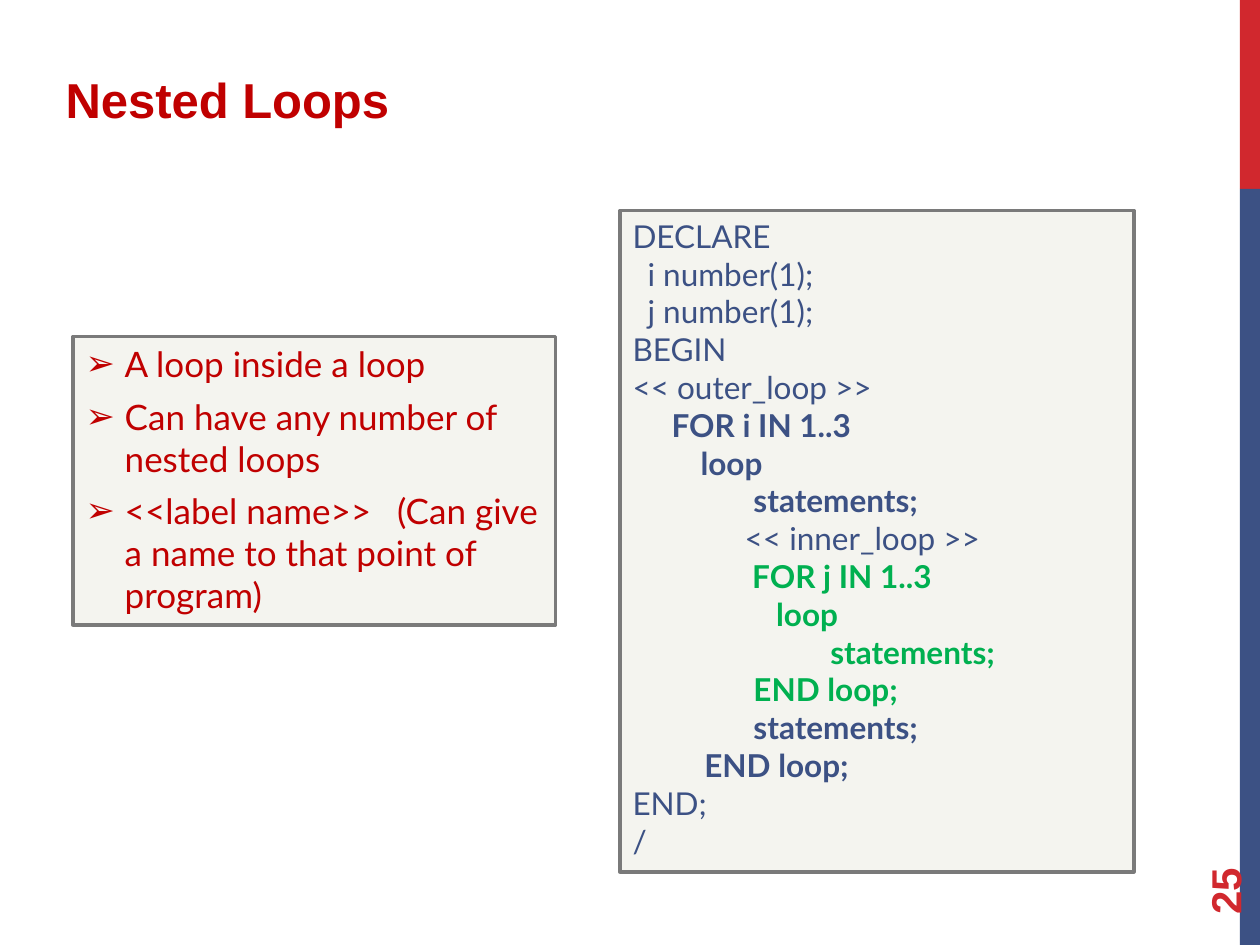
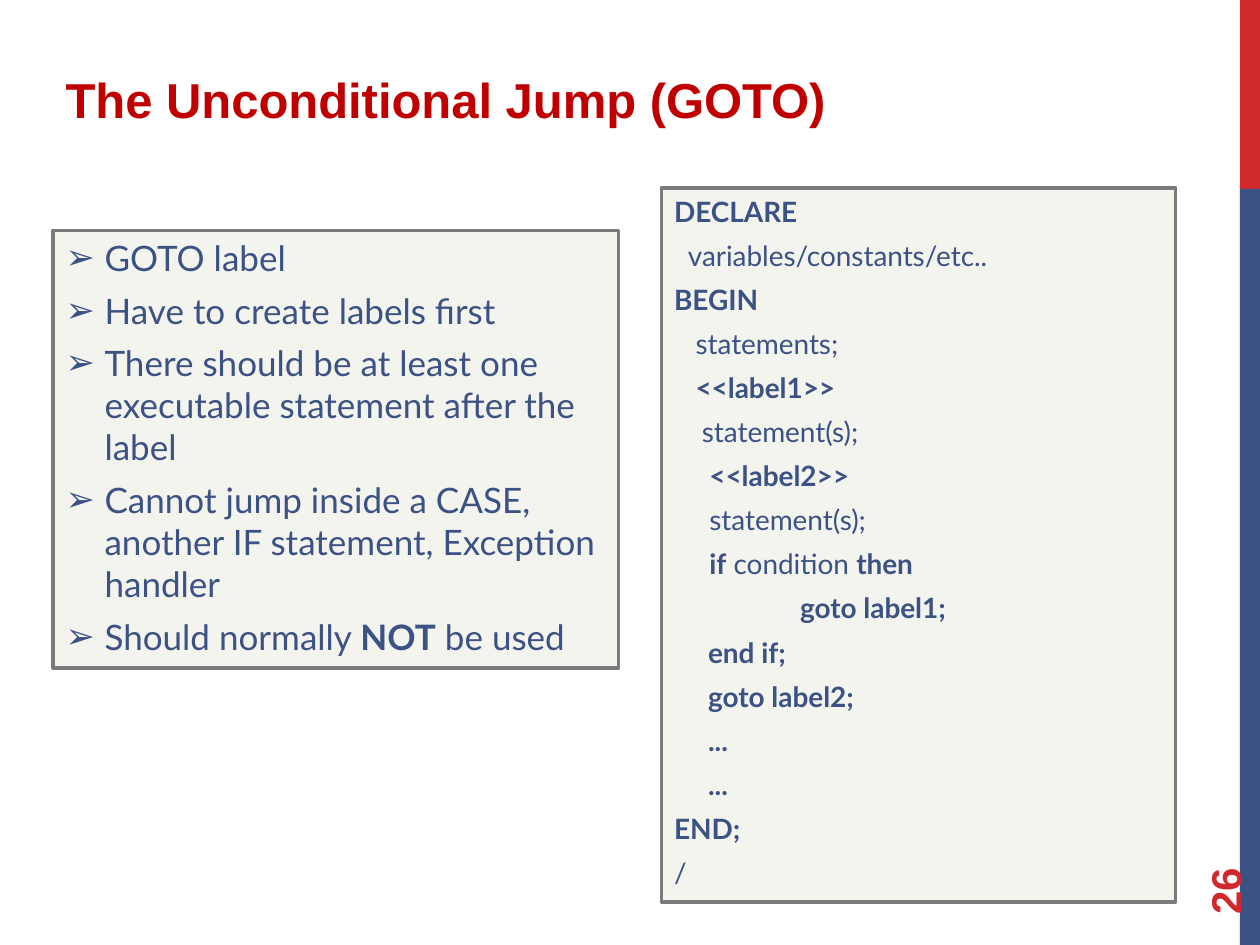
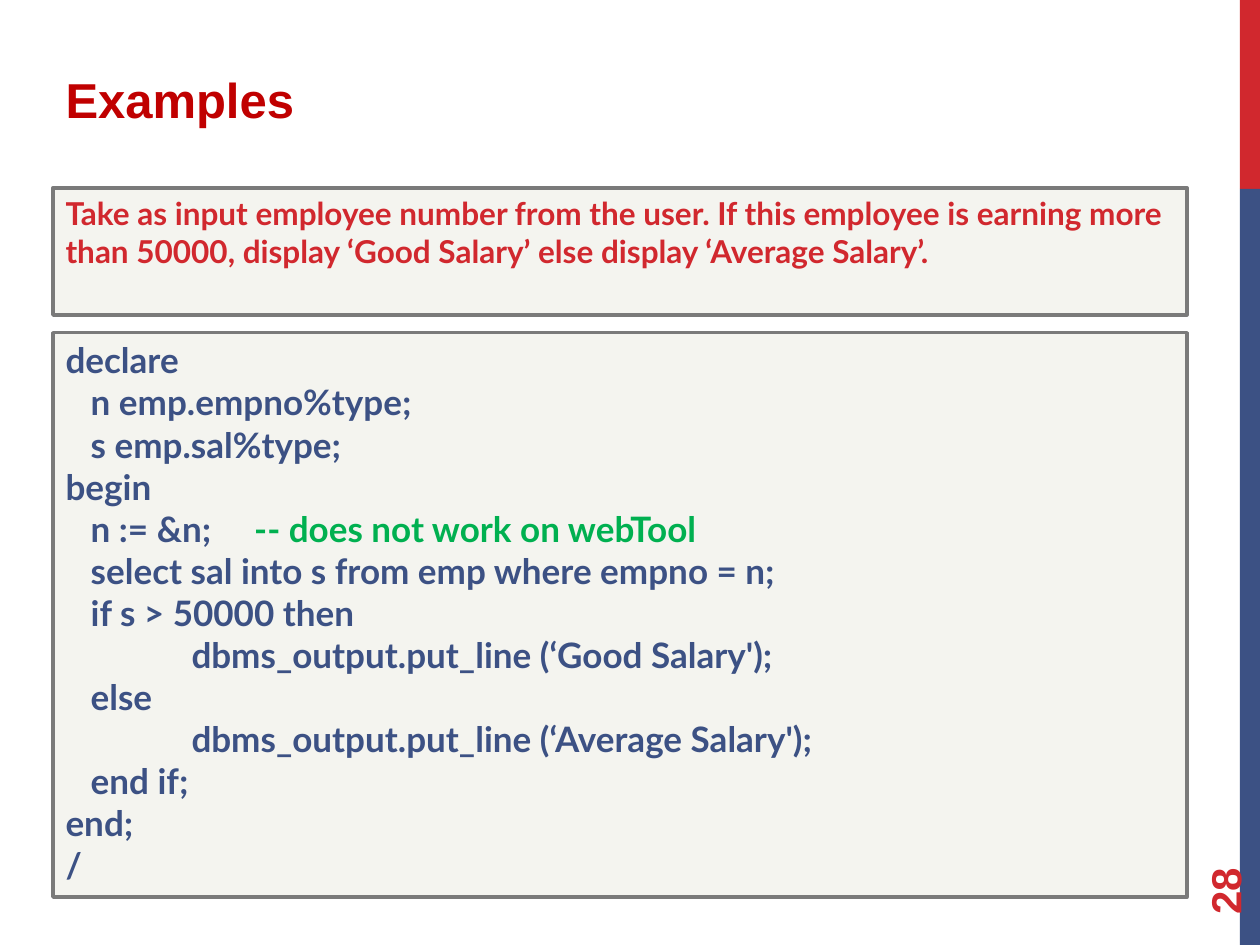
from dataclasses import dataclass

from lxml import etree
from pptx import Presentation
from pptx.dml.color import RGBColor
from pptx.enum.shapes import MSO_SHAPE
from pptx.enum.text import MSO_ANCHOR, MSO_AUTO_SIZE, PP_ALIGN
from pptx.oxml.ns import qn
from pptx.util import Inches, Pt

RECT = MSO_SHAPE.RECTANGLE
TOP, MIDDLE = MSO_ANCHOR.TOP, MSO_ANCHOR.MIDDLE
NO_FIT = MSO_AUTO_SIZE.NONE
LEFT = PP_ALIGN.LEFT

COLORS = {
    "red": "D1282E",
    "title": "C00000",
    "navy": "3C5184",
    "green": "00B050",
    "panel": "F4F4EF",
    "border": "7A7A7A",
}
HEAD_FONT, BODY_FONT = "Arial", "Lato"
HANG = 0.31  # hanging indent of bulleted lines
TWO_CONTENT = 3


@dataclass
class Run:
    text: str
    bold: bool = False
    color: str = ""
    gap: float = 0  # extra width in points after each character


@dataclass
class Line:
    runs: list[Run]
    indent: float = 0


@dataclass
class Panel:
    box: tuple[float, float, float, float]
    lines: list[Line]
    size: int
    color: str = "navy"
    space_before: int = 0
    bullet: str = ""


@dataclass
class Page:
    number: int
    title: str
    panels: list[Panel]


def plain(text: str, indent: float = 0) -> Line:
    return Line([Run(text)], indent)


def bold(text: str, indent: float = 0, color: str = "") -> Line:
    return Line([Run(text, True, color)], indent)


def rgb(name: str) -> RGBColor:
    return RGBColor.from_string(COLORS[name])


def place(sp, box: tuple[float, float, float, float]) -> None:
    sp.left, sp.top, sp.width, sp.height = (Inches(v) for v in box)


def style(r, font: str, size: int, color: str, is_bold: bool) -> None:
    r.font.name, r.font.size, r.font.bold = font, Pt(size), is_bold
    r.font.color.rgb = rgb(color)


def set_indent(p, indent: float, bullet: str) -> None:
    pPr = p._p.get_or_add_pPr()
    pPr.set("marL", str(Inches(HANG if bullet else indent)))
    pPr.set("indent", str(Inches(-HANG if bullet else 0)))
    if bullet:
        etree.SubElement(pPr, qn("a:buFont")).set("typeface", HEAD_FONT)
        etree.SubElement(pPr, qn("a:buChar")).set("char", bullet)
    else:
        etree.SubElement(pPr, qn("a:buNone"))


def add_bands(slide, master) -> None:
    """Draw the two side bands and move them to the master."""
    for top, height, color in ((0, 1.5, "red"), (1.5, 6, "navy")):
        sp = slide.shapes.add_shape(
            RECT, Inches(9.84), Inches(top), Inches(0.16), Inches(height))
        sp.shadow.inherit = False
        sp.fill.solid()
        sp.fill.fore_color.rgb = rgb(color)
        sp.line.fill.background()
        master.element.cSld.spTree.append(sp.element)


def add_title(slide, text: str) -> None:
    sp = slide.shapes.title
    place(sp, (0.42, 0.5, 9.25, 0.67))
    tf = sp.text_frame
    tf.text = text
    tf.auto_size, tf.vertical_anchor = NO_FIT, TOP
    p = tf.paragraphs[0]
    p.alignment = LEFT
    style(p.runs[0], HEAD_FONT, 28, "title", True)


def add_number(slide, number: int) -> None:
    sp = slide.shapes.add_textbox(
        Inches(9), Inches(6.44), Inches(1.44), Inches(0.4))
    sp.rotation = 270
    tf = sp.text_frame
    tf.text = str(number)
    tf.word_wrap, tf.vertical_anchor = True, MIDDLE
    style(tf.paragraphs[0].runs[0], HEAD_FONT, 24, "red", True)


def fill_panel(sp, panel: Panel) -> None:
    place(sp, panel.box)
    sp.fill.solid()
    sp.fill.fore_color.rgb = rgb("panel")
    sp.line.color.rgb = rgb("border")
    sp.line.width = Pt(2)
    tf = sp.text_frame
    tf.word_wrap, tf.auto_size, tf.vertical_anchor = True, NO_FIT, TOP
    for i, line in enumerate(panel.lines):
        p = tf.add_paragraph() if i else tf.paragraphs[0]
        p.alignment = LEFT
        p.space_before = Pt(panel.space_before)
        set_indent(p, line.indent, panel.bullet)
        for run in line.runs:
            r = p.add_run()
            r.text = run.text
            style(r, BODY_FONT, panel.size, run.color or panel.color, run.bold)
            if run.gap:
                r.font._element.set("spc", str(round(run.gap * 100)))


# Slide content
NESTED = Page(25, "Nested Loops", [
    Panel((0.58, 2.67, 3.83, 2.29), [
        plain("A loop inside a loop"),
        plain("Can have any number of nested loops"),
        Line([Run("<<label name>>"), Run(" ", gap=9.5),
              Run("(Can give a name to that point of program)")]),
    ], 20, "title", 6, "➢"),
    Panel((4.92, 1.67, 4.08, 5.25), [
        plain("DECLARE"),
        plain("i number(1);", 0.12),
        plain("j number(1);", 0.12),
        plain("BEGIN"),
        plain("<< outer_loop >>"),
        bold("FOR i IN 1..3", 0.31),
        bold("loop", 0.54),
        bold("statements;", 0.96),
        plain("<< inner_loop >>", 0.89),
        bold("FOR j IN 1..3", 0.95, "green"),
        bold("loop", 1.14, "green"),
        bold("statements;", 1.57, "green"),
        bold("END loop;", 0.96, "green"),
        bold("statements;", 0.96),
        bold("END loop;", 0.57),
        plain("END;"),
        plain("/"),
    ], 18),
])

GOTO = Page(26, "The Unconditional Jump (GOTO)", [
    Panel((0.42, 1.83, 4.49, 3.47), [
        plain("GOTO label"),
        plain("Have to create labels first"),
        plain("There should be at least one executable statement after the label"),
        plain("Cannot jump inside a CASE, another IF statement, Exception handler"),
        Line([Run("Should normally "), Run("NOT", True), Run(" be used")]),
    ], 20, "navy", 6, "➢"),
    Panel((5.25, 1.49, 4.08, 5.67), [
        bold("DECLARE"),
        plain("variables/constants/etc..", 0.11),
        bold("BEGIN"),
        plain("statements;", 0.17),
        bold("<<label1>>", 0.17),
        plain("statement(s);", 0.22),
        bold("<<label2>>", 0.28),
        plain("statement(s);", 0.28),
        Line([Run("if", True), Run(" condition "), Run("then", True)], 0.28),
        bold("goto label1;", 1),
        bold("end if;", 0.27),
        bold("goto label2;", 0.27),
        bold("...", 0.27),
        bold("...", 0.27),
        bold("END;"),
        plain("/"),
    ], 16, space_before=6),
])

EXAMPLES = Page(28, "Examples", [
    Panel((0.42, 1.49, 9, 1.01), [
        bold("Take as input employee number from the user. If this employee is "
             "earning more than 50000, display ‘Good Salary’ else display "
             "‘Average Salary’."),
    ], 18, "red"),
    Panel((0.42, 2.64, 9, 4.48), [
        bold("declare"),
        bold("n emp.empno%type;", 0.2),
        bold("s emp.sal%type;", 0.2),
        bold("begin"),
        Line([Run("n := &n;", True), Run(" ", True, gap=19.5),
              Run("-- does not work on webTool", True, "green")], 0.2),
        bold("select sal into s from emp where empno = n;", 0.2),
        bold("if s > 50000 then", 0.2),
        bold("dbms_output.put_line (‘Good Salary');", 1),
        bold("else", 0.2),
        bold("dbms_output.put_line (‘Average Salary');", 1),
        bold("end if;", 0.2),
        bold("end;"),
        bold("/"),
    ], 20),
])


def main() -> None:
    prs = Presentation()
    prs.slide_width, prs.slide_height = Inches(10), Inches(7.5)
    for i, page in enumerate((NESTED, GOTO, EXAMPLES)):
        slide = prs.slides.add_slide(prs.slide_layouts[TWO_CONTENT])
        if i == 0:
            add_bands(slide, prs.slide_master)
        add_title(slide, page.title)
        for sp, panel in zip(list(slide.placeholders)[1:], page.panels):
            fill_panel(sp, panel)
        add_number(slide, page.number)
    prs.save("out.pptx")


if __name__ == "__main__":
    main()
